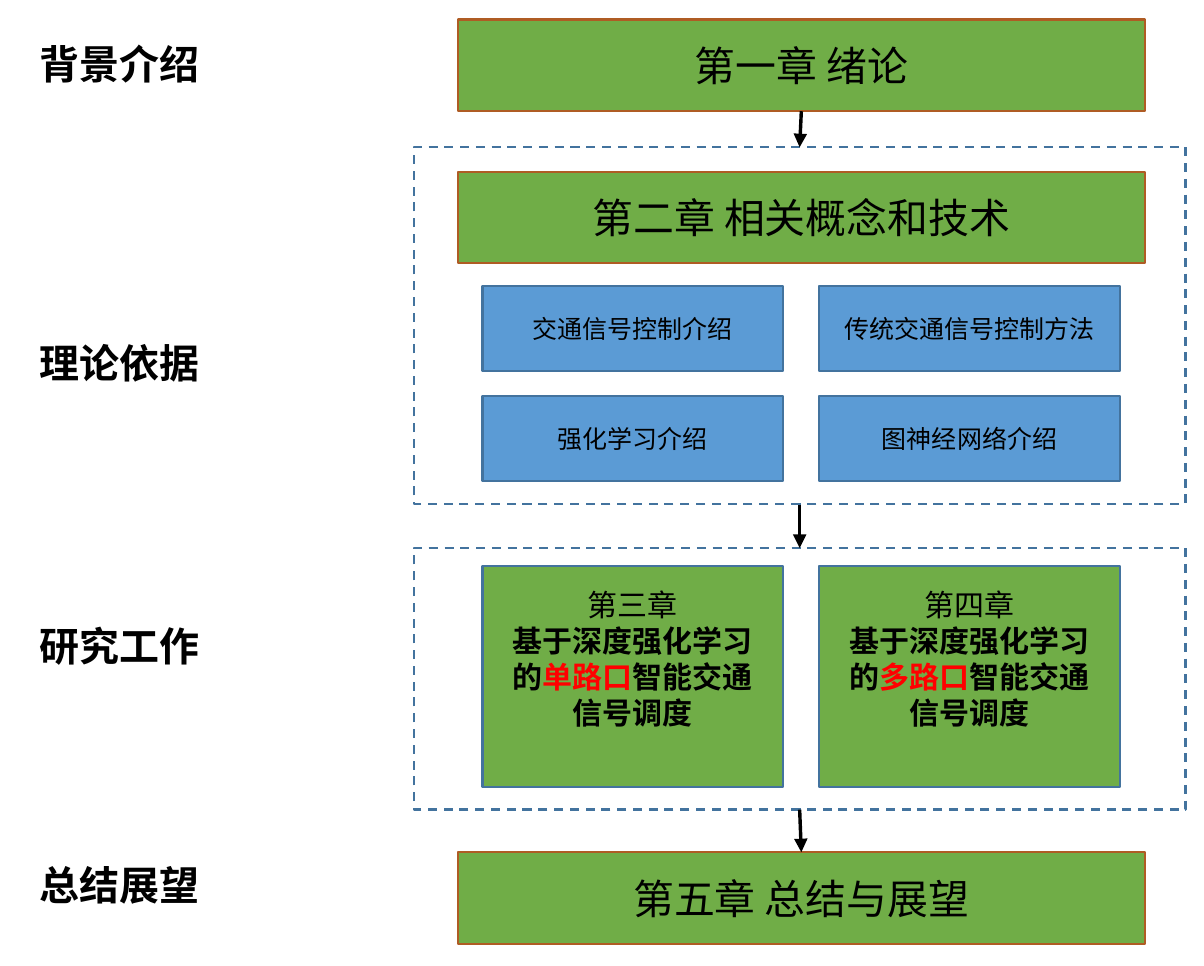
from lxml.etree import SubElement
from pptx import Presentation
from pptx.dml.color import RGBColor
from pptx.enum.dml import MSO_LINE_DASH_STYLE as DASH
from pptx.enum.shapes import MSO_CONNECTOR, MSO_SHAPE
from pptx.enum.text import MSO_ANCHOR, PP_ALIGN
from pptx.oxml.ns import qn
from pptx.util import Cm, Inches, Pt

GREEN = RGBColor(0x70, 0xAD, 0x47)
BLUE = RGBColor(0x5B, 0x9B, 0xD5)
BROWN = RGBColor(0xAF, 0x5C, 0x24)
STEEL = RGBColor(0x43, 0x73, 0x9E)
WHITE = RGBColor(0xFF, 0xFF, 0xFF)
BLACK = RGBColor(0, 0, 0)
RED = RGBColor(0xFF, 0, 0)

FONT = "Calibri"
COLUMNS = (2.95, 5.01)
TOPIC_WIDTH = 1.84


def style(font, size, color=BLACK, bold=False):
    font.name = FONT
    font.size = Pt(size)
    font.color.rgb = color
    font.bold = bold


def add_box(slide, left, top, width, height, fill, line):
    box = slide.shapes.add_shape(MSO_SHAPE.RECTANGLE, Inches(left), Inches(top),
                                 Inches(width), Inches(height))
    box.shadow.inherit = False
    box.fill.solid()
    box.fill.fore_color.rgb = fill
    box.line.color.rgb = line
    box.line.width = Pt(1)
    frame = box.text_frame
    frame.word_wrap = True
    frame.vertical_anchor = MSO_ANCHOR.MIDDLE
    frame.margin_left = frame.margin_right = Inches(0.11)
    frame.margin_top = frame.margin_bottom = Inches(0.06)
    return box


def add_titled_box(slide, text, size, *box_args):
    heading = add_box(slide, *box_args).text_frame.paragraphs[0]
    heading.text = text
    heading.alignment = PP_ALIGN.CENTER
    style(heading.font, size)


def add_chapter_bar(slide, top, text):
    add_titled_box(slide, text, 18, 2.8, top, 4.2, 0.56, GREEN, BROWN)


def add_stage_frame(slide, top, height):
    frame = add_box(slide, 2.53, top, 4.72, height, WHITE, STEEL)
    frame.line.dash_style = DASH.DASH


def add_research_box(slide, left, chapter, scope):
    frame = add_box(slide, left, 3.46, TOPIC_WIDTH, 1.35, GREEN, STEEL).text_frame
    frame.margin_bottom = Inches(0.28)  # lifts the text above the middle
    number, subject = frame.paragraphs[0], frame.add_paragraph()
    number.text = chapter
    style(number.font, 13.2)
    for words, color in (("基于深度强化学习的", BLACK), (scope, RED),
                         ("智能交通信号调度", BLACK)):
        run = subject.add_run()
        run.text = words
        style(run.font, 13.2, color, bold=True)
    for paragraph in (number, subject):
        paragraph.alignment = PP_ALIGN.CENTER


def add_stage_label(slide, top, text):
    label = slide.shapes.add_textbox(Inches(0.14), Inches(top), Inches(2.11), Inches(0.4))
    label.text_frame.word_wrap = True
    stage = label.text_frame.paragraphs[0]
    stage.text = text
    style(stage.font, 17.6, bold=True)


def add_arrow(slide, x1, y1, x2, y2):
    arrow = slide.shapes.add_connector(MSO_CONNECTOR.STRAIGHT, Inches(x1), Inches(y1),
                                       Inches(x2), Inches(y2))
    arrow.line.color.rgb = BLACK
    arrow.line.width = Pt(1.5)
    properties = arrow._element.spPr
    SubElement(properties.find(qn("a:ln")), qn("a:tailEnd"), type="triangle")
    SubElement(properties, qn("a:effectLst"))


def main():
    deck = Presentation()
    deck.slide_width = Cm(18.7)
    deck.slide_height = Cm(15)
    slide = deck.slides.add_slide(deck.slide_layouts[6])

    # Stage names on the left
    for top, stage in ((0.19, "背景介绍"), (2.02, "理论依据"),
                       (3.75, "研究工作"), (5.21, "总结展望")):
        add_stage_label(slide, top, stage)

    # Dashed frames around theory and research
    add_stage_frame(slide, 0.9, 2.18)
    add_stage_frame(slide, 3.35, 1.6)

    # Full-width chapters
    for top, chapter in ((0.12, "第一章 绪论"), (1.05, "第二章 相关概念和技术"),
                         (5.21, "第五章 总结与展望")):
        add_chapter_bar(slide, top, chapter)

    # Theory topics, two by two
    topics = ((1.75, ("交通信号控制介绍", "传统交通信号控制方法")),
              (2.42, ("强化学习介绍", "图神经网络介绍")))
    for top, row in topics:
        for left, topic in zip(COLUMNS, row):
            add_titled_box(slide, topic, 11, left, top, TOPIC_WIDTH, 0.52, BLUE, STEEL)

    # Research chapters
    for left, chapter, scope in zip(COLUMNS, ("第三章", "第四章"), ("单路口", "多路口")):
        add_research_box(slide, left, chapter, scope)

    # Flow from stage to stage
    add_arrow(slide, 4.9, 0.68, 4.89, 0.9)
    add_arrow(slide, 4.89, 3.09, 4.89, 3.35)
    add_arrow(slide, 4.89, 4.95, 4.9, 5.21)

    deck.save("out.pptx")


main()
